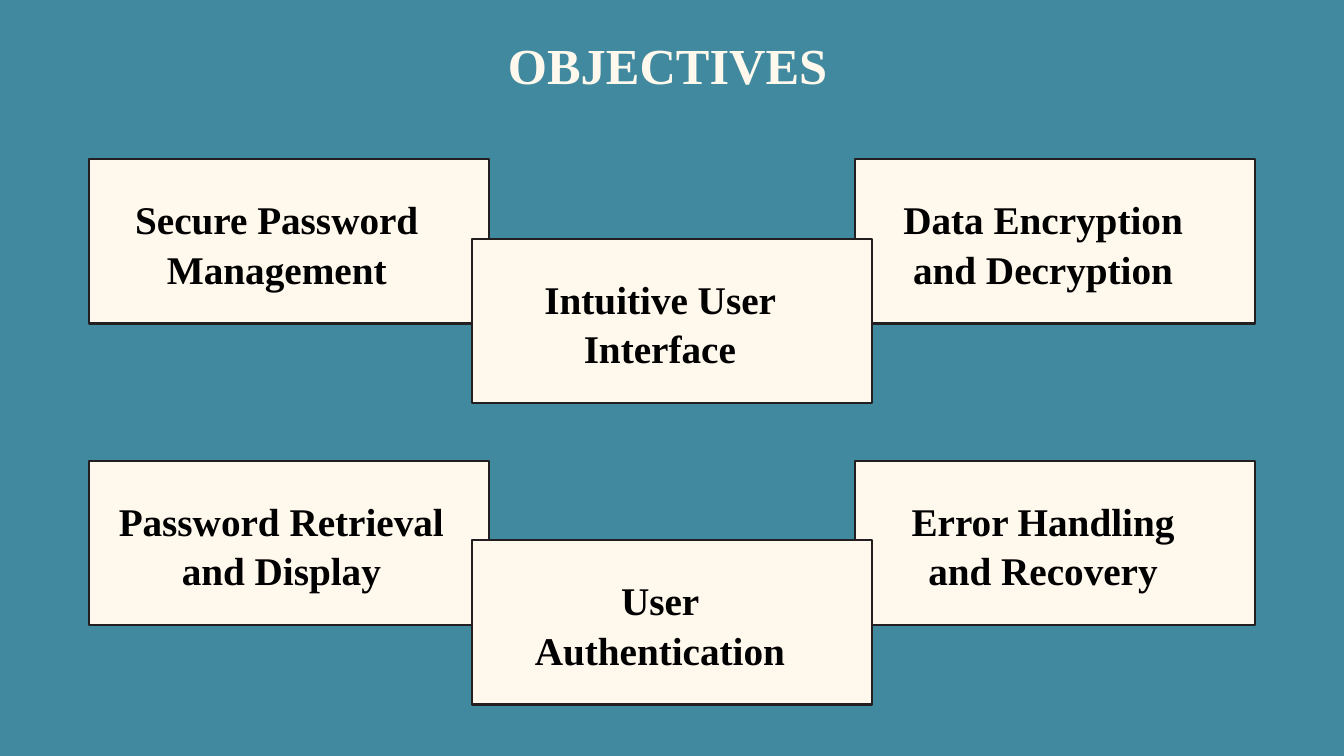
import pptx
import pptx.dml.color
import pptx.enum.shapes
import pptx.enum.text
import pptx.util
from dataclasses import dataclass

Inches = pptx.util.Inches
Pt = pptx.util.Pt


@dataclass(frozen=True)
class Theme:
    background: str = "41899F"
    cream: str = "FFF8ED"
    outline: str = "231F20"
    ink: str = "000000"
    font: str = "Times New Roman"
    title_size: int = 36
    label_size: int = 28
    line_spacing: float = 1.05
    outline_width: float = 1.5


THEME = Theme()
SLIDE_WIDTH, SLIDE_HEIGHT = 13.33, 7.5

# Grid of cards: three overlapping columns, two rows, middle column set lower
GRID_LEFT, GRID_TOP = 0.88, 1.58
COLUMN_STEP, ROW_STEP, MIDDLE_DROP = 3.8, 2.99, 0.79
CARD_WIDTH, CARD_HEIGHT = 3.97, 1.63
LABEL_INDENT, LABEL_DROP, LABEL_WIDTH, LABEL_HEIGHT = 0.23, 0.29, 3.27, 1.04
WIDE_INDENT, WIDE_WIDTH = 0.17, 3.48

# Column, row, wording, and whether the label needs the wider box; back to front
OBJECTIVES = [
    (0, 0, "Secure Password Management", False),
    (2, 0, "Data Encryption and Decryption", False),
    (1, 0, "Intuitive User Interface", False),
    (0, 1, "Password Retrieval and Display", True),
    (2, 1, "Error Handling and Recovery", False),
    (1, 1, "User Authentication", False),
]


def rgb(code):
    return pptx.dml.color.RGBColor.from_string(code)


def add_text(slide, box, wording, size, color, align):
    frame = slide.shapes.add_textbox(*map(Inches, box)).text_frame
    frame.word_wrap = True
    frame.auto_size = pptx.enum.text.MSO_AUTO_SIZE.SHAPE_TO_FIT_TEXT
    frame.text = wording
    paragraph = frame.paragraphs[0]
    paragraph.alignment = align
    paragraph.line_spacing = THEME.line_spacing
    font = paragraph.runs[0].font
    font.name, font.size, font.bold = THEME.font, Pt(size), True
    font.color.rgb = rgb(color)


def add_card(slide, box, objective, wide):
    left, top, width, height = box
    card = slide.shapes.add_shape(
        pptx.enum.shapes.MSO_SHAPE.RECTANGLE, *map(Inches, box))
    card.shadow.inherit = False
    card.fill.solid()
    card.fill.fore_color.rgb = rgb(THEME.cream)
    card.line.color.rgb = rgb(THEME.outline)
    card.line.width = Pt(THEME.outline_width)

    indent = WIDE_INDENT if wide else LABEL_INDENT
    label_width = WIDE_WIDTH if wide else LABEL_WIDTH
    label_box = (left + indent, top + LABEL_DROP, label_width, LABEL_HEIGHT)
    add_text(slide, label_box, objective, THEME.label_size, THEME.ink,
             pptx.enum.text.PP_ALIGN.CENTER)


def add_objectives(slide, left, top):
    for column, row, objective, wide in OBJECTIVES:
        drop = MIDDLE_DROP if column == 1 else 0
        box = (left + column * COLUMN_STEP, top + row * ROW_STEP + drop,
               CARD_WIDTH, CARD_HEIGHT)
        add_card(slide, box, objective, wide)


def main():
    presentation = pptx.Presentation()
    presentation.slide_width = Inches(SLIDE_WIDTH)
    presentation.slide_height = Inches(SLIDE_HEIGHT)
    slide = presentation.slides.add_slide(presentation.slide_layouts[6])
    slide.background.fill.solid()
    slide.background.fill.fore_color.rgb = rgb(THEME.background)

    add_text(slide, (4.94, 0.26, 3.46, 0.71), "OBJECTIVES", THEME.title_size,
             THEME.cream, pptx.enum.text.PP_ALIGN.LEFT)
    add_objectives(slide, GRID_LEFT, GRID_TOP)
    presentation.save("out.pptx")


if __name__ == "__main__":
    main()
